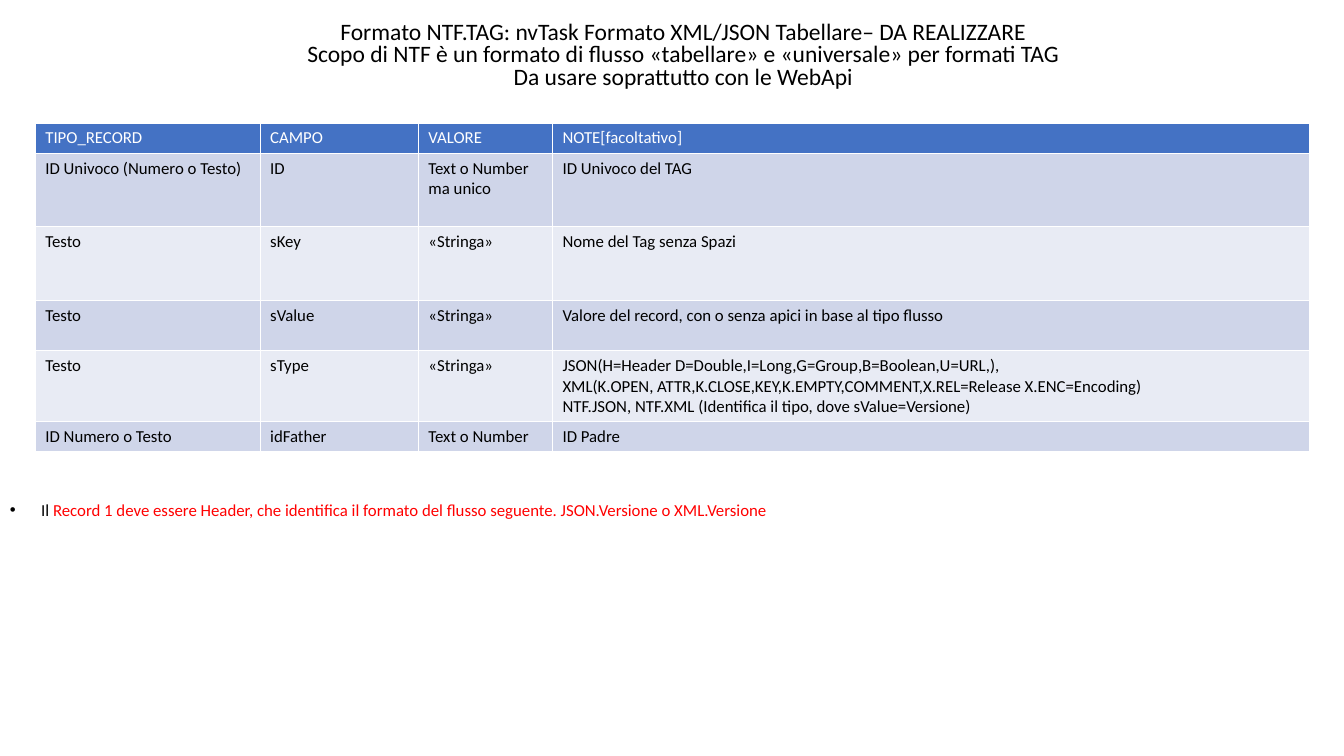
import pptx
import pptx.util
import pptx.dml.color
import pptx.enum.text
import pptx.oxml
import pptx.oxml.ns
from pptx.util import Inches


def color(value):
    return pptx.dml.color.RGBColor.from_string(value)


def add_text(para, text, size, hex_color):
    for index, line in enumerate(text.split("\n")):
        if index:
            para.add_line_break()
        span = para.add_run()
        span.text = line
        span.font.name = "Calibri"
        span.font.size = pptx.util.Pt(size)
        span.font.color.rgb = color(hex_color)


deck = pptx.Presentation()
deck.slide_width = Inches(13.33)
deck.slide_height = Inches(7.5)
page = deck.slides.add_slide(deck.slide_layouts[6])

title_box = page.shapes.add_textbox(Inches(1.03), Inches(0.15), Inches(11.49), Inches(0.81))
title_box.text_frame.word_wrap = True
title_box.text_frame.vertical_anchor = pptx.enum.text.MSO_ANCHOR.MIDDLE
title_para = title_box.text_frame.paragraphs[0]
title_para.alignment = pptx.enum.text.PP_ALIGN.CENTER
title_para.line_spacing = 0.8
title = (
    "Formato NTF.TAG: nvTask Formato XML/JSON Tabellare– DA REALIZZARE\n"
    "Scopo di NTF è un formato di flusso «tabellare» e «universale» per formati TAG\n"
    "Da usare soprattutto con le WebApi"
)
add_text(title_para, title, 16.8, "000000")

records = [
    ("TIPO_RECORD", "CAMPO", "VALORE", "NOTE[facoltativo]"),
    ("ID Univoco (Numero o Testo)", "ID", "Text o Number ma unico", "ID Univoco del TAG"),
    ("Testo", "sKey", "«Stringa»", "Nome del Tag senza Spazi"),
    ("Testo", "sValue", "«Stringa»",
     "Valore del record, con o senza apici in base al tipo flusso"),
    ("Testo", "sType", "«Stringa»",
     "JSON(H=Header D=Double,I=Long,G=Group,B=Boolean,U=URL,), \n"
     "XML(K.OPEN, ATTR,K.CLOSE,KEY,K.EMPTY,COMMENT,X.REL=Release X.ENC=Encoding)\n"
     "NTF.JSON, NTF.XML (Identifica il tipo, dove sValue=Versione)"),
    ("ID Numero o Testo", "idFather", "Text o Number", "ID Padre"),
]
column_widths = [2.23, 1.57, 1.33, 7.51]
row_heights = [0.3, 0.73, 0.73, 0.5, 0.7, 0.3]

table = page.shapes.add_table(
    len(records), len(column_widths), Inches(0.35), Inches(1.22),
    Inches(sum(column_widths)), Inches(sum(row_heights)),
).table
for column, width in zip(table.columns, column_widths):
    column.width = Inches(width)
for row, height in zip(table.rows, row_heights):
    row.height = Inches(height)

namespace = pptx.oxml.ns.nsdecls("a")
for row_index, record in enumerate(records):
    is_header = row_index == 0
    band = "4472C4" if is_header else ("E8EBF4", "CFD5E9")[row_index % 2]
    for column_index, text in enumerate(record):
        cell = table.cell(row_index, column_index)
        add_text(cell.text_frame.paragraphs[0], text, 12, "FFFFFF" if is_header else "000000")
        cell.text_frame.paragraphs[0].runs[0].font.bold = False
        properties = cell._tc.get_or_add_tcPr()
        for side in ("lnL", "lnR", "lnT", "lnB"):
            properties.append(pptx.oxml.parse_xml(
                f'<a:{side} {namespace} w="12192"><a:solidFill>'
                f'<a:srgbClr val="FFFFFF"/></a:solidFill></a:{side}>'
            ))
        cell.fill.solid()
        cell.fill.fore_color.rgb = color(band)

note_box = page.shapes.add_textbox(Inches(0), Inches(4.91), Inches(11.69), Inches(0.3))
note_box.text_frame.word_wrap = True
note_box.text_frame.auto_size = pptx.enum.text.MSO_AUTO_SIZE.SHAPE_TO_FIT_TEXT
note_para = note_box.text_frame.paragraphs[0]
add_text(note_para, "Il ", 12, "000000")
add_text(
    note_para,
    "Record 1 deve essere Header, che identifica il formato del flusso seguente. "
    "JSON.Versione o XML.Versione",
    12, "FF0000",
)
bullet = note_para._p.get_or_add_pPr()
bullet.set("marL", str(Inches(0.31)))
bullet.set("indent", str(Inches(-0.31)))
for tag in (
    f'<a:buClr {namespace}><a:srgbClr val="000000"/></a:buClr>',
    f'<a:buFont {namespace} typeface="Arial"/>',
    f'<a:buChar {namespace} char="•"/>',
):
    bullet.append(pptx.oxml.parse_xml(tag))

deck.save("out.pptx")
